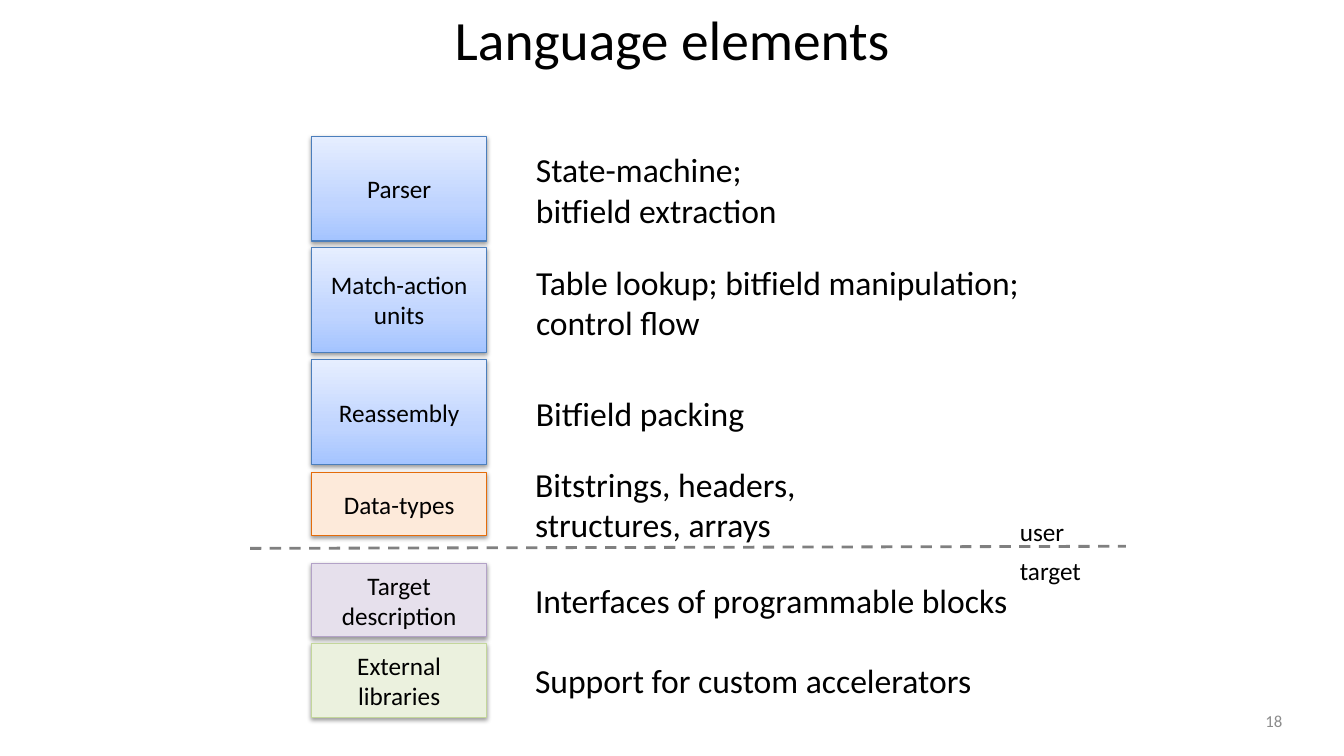
from pptx import Presentation
from pptx.dml.color import RGBColor
from pptx.enum.dml import MSO_LINE
from pptx.enum.shapes import MSO_CONNECTOR, MSO_SHAPE
from pptx.enum.text import MSO_ANCHOR, MSO_AUTO_SIZE, PP_ALIGN
from pptx.oxml import parse_xml
from pptx.oxml.ns import nsdecls, qn
from pptx.util import Pt

BLUE = [(0, "A4C4FF"), (35, "BFD4FF"), (100, "E6EEFF")]

# Box label, top, height, fill, line; note text, left, top, width, height
ROWS = [
    (("Parser", 97.2, 75, BLUE, "4B7EBC"),
     ("State-machine;\vbitfield extraction", 375.8, 103, 189.4, 65.5)),
    (("Match-action\nunits", 176.6, 75, BLUE, "4B7EBC"),
     ("Table lookup; bitfield manipulation;\vcontrol flow", 375.8, 183.6, 368.6, 65.5)),
    (("Reassembly", 257, 75, BLUE, "4B7EBC"),
     ("Bitfield packing", 375.8, 277.2, 165.6, 36)),
    (("Data-types", 337.3, 45.4, "FDEADA", "E46C0A"),
     ("Bitstrings, headers,\vstructures, arrays", 375.1, 327.6, 202.3, 65.5)),
    (("Target\ndescription", 402.4, 52.6, "E6E0EC", "B3A2C7"),
     ("Interfaces of programmable blocks", 375.1, 410.4, 355, 36)),
    (("External libraries", 459.6, 52.6, "EBF1DE", "C3D69B"),
     ("Support for custom accelerators", 375.1, 468, 334.1, 36)),
]


def rgb(code):
    return RGBColor.from_string(code)


def write(shape, text, size, color="000000", align=PP_ALIGN.LEFT, **frame):
    body = shape.text_frame
    body.text = text
    for name, value in frame.items():
        setattr(body, name, value)
    look = {"name": "Calibri", "size": Pt(size)}
    for para in body.paragraphs:
        para.alignment = align
        for run in para.runs:
            for name, value in look.items():
                setattr(run.font, name, value)
            run.font.color.rgb = rgb(color)


def blend(shape, stops):
    shape.fill.gradient()
    shape.fill.gradient_angle = 90
    group = shape.fill.gradient_stops
    marks = "".join(
        f'<a:gs pos="{spot * 1000}"><a:srgbClr val="{code}"/></a:gs>' for spot, code in stops)
    old = shape._element.spPr.find(qn("a:gradFill")).find(qn("a:gsLst"))
    old.getparent().replace(old, parse_xml(f'<a:gsLst {nsdecls("a")}>{marks}</a:gsLst>'))


def shade(shape):
    shape.shadow.inherit = False
    shape._element.spPr.find(qn("a:effectLst")).append(parse_xml(
        f'<a:outerShdw {nsdecls("a")} blurRad="{Pt(3.15)}" dist="{Pt(1.57)}" '
        'dir="5400000" rotWithShape="0"><a:srgbClr val="000000">'
        '<a:alpha val="38000"/></a:srgbClr></a:outerShdw>'))


def block(slide, text, top, height, fill, edge):
    box = slide.shapes.add_shape(
        MSO_SHAPE.RECTANGLE, Pt(222.5), Pt(top), Pt(125.3), Pt(height))
    if isinstance(fill, str):
        box.fill.solid()
        box.fill.fore_color.rgb = rgb(fill)
    else:
        blend(box, fill)
    box.line.color.rgb = rgb(edge)
    box.line.width = Pt(0.75)
    shade(box)
    write(box, text, 18, align=PP_ALIGN.CENTER, vertical_anchor=MSO_ANCHOR.MIDDLE)


def note(slide, text, left, top, width, height, size=24):
    box = slide.shapes.add_textbox(Pt(left), Pt(top), Pt(width), Pt(height))
    write(box, text, size, word_wrap=False, auto_size=MSO_AUTO_SIZE.SHAPE_TO_FIT_TEXT)


def border(slide):
    rule = slide.shapes.add_connector(
        MSO_CONNECTOR.STRAIGHT, Pt(178.6), Pt(391.7), Pt(804.2), Pt(390.2))
    rule.line.color.rgb = rgb("808080")
    rule.line.width = Pt(2)
    rule.line.dash_style = MSO_LINE.DASH
    rule._element.spPr.append(parse_xml(f'<a:effectLst {nsdecls("a")}/>'))


def main():
    deck = Presentation()
    deck.slide_width, deck.slide_height = Pt(960), Pt(540)
    slide = deck.slides.add_slide(deck.slide_layouts[5])

    # Title
    title = slide.shapes.title
    place = {"left": 156.2, "top": 0, "width": 648, "height": 55.4}
    for name, value in place.items():
        setattr(title, name, Pt(value))
    write(title, "Language elements", 39.6, align=PP_ALIGN.CENTER,
          vertical_anchor=MSO_ANCHOR.MIDDLE)

    # Elements and what they do
    for box, text in ROWS:
        block(slide, *box)
        note(slide, *text)

    # Border between user and target
    border(slide)
    note(slide, "user", 721.4, 365, 46.8, 28.8, 18)
    note(slide, "target", 721.4, 393.1, 58.3, 28.8, 18)

    # Slide number
    page = slide.shapes.add_textbox(Pt(823), Pt(500.4), Pt(100), Pt(28.8))
    write(page, "18", 12, "8C8C8C", PP_ALIGN.RIGHT, word_wrap=True,
          vertical_anchor=MSO_ANCHOR.MIDDLE)

    deck.save("out.pptx")


if __name__ == "__main__":
    main()
